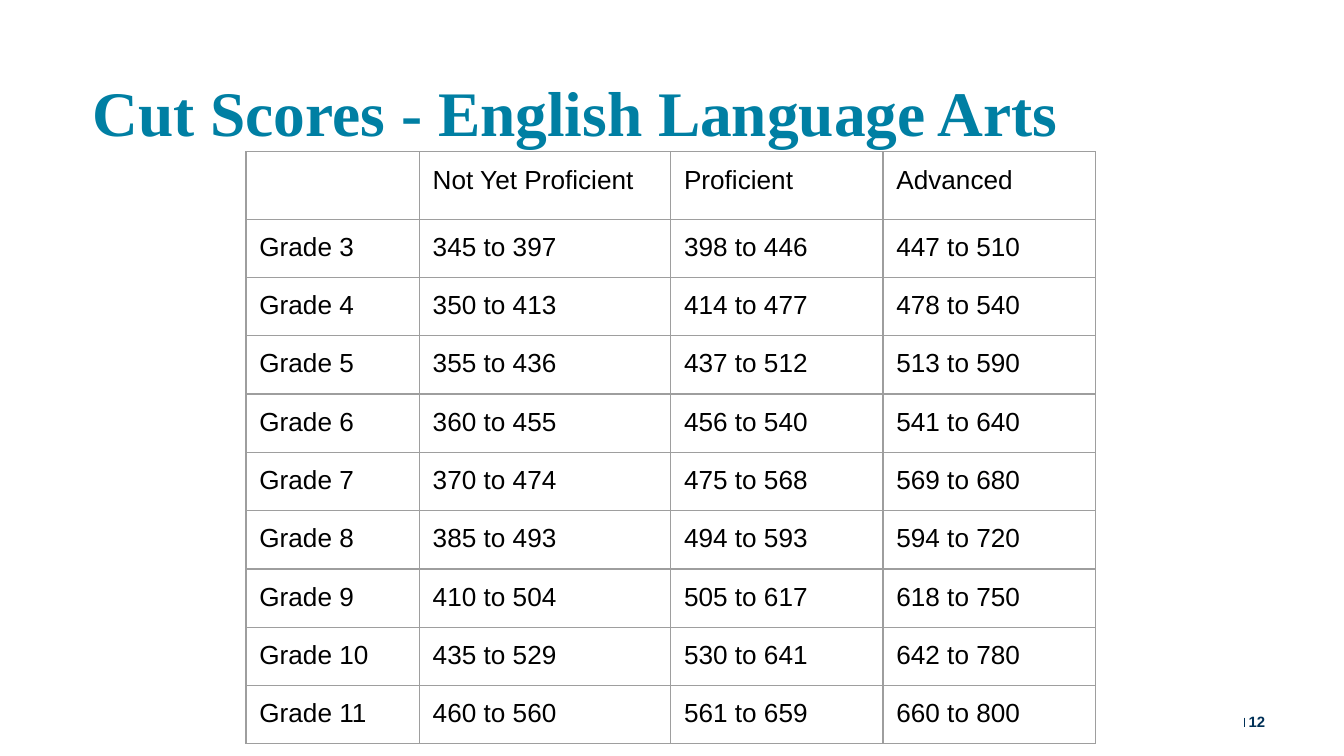
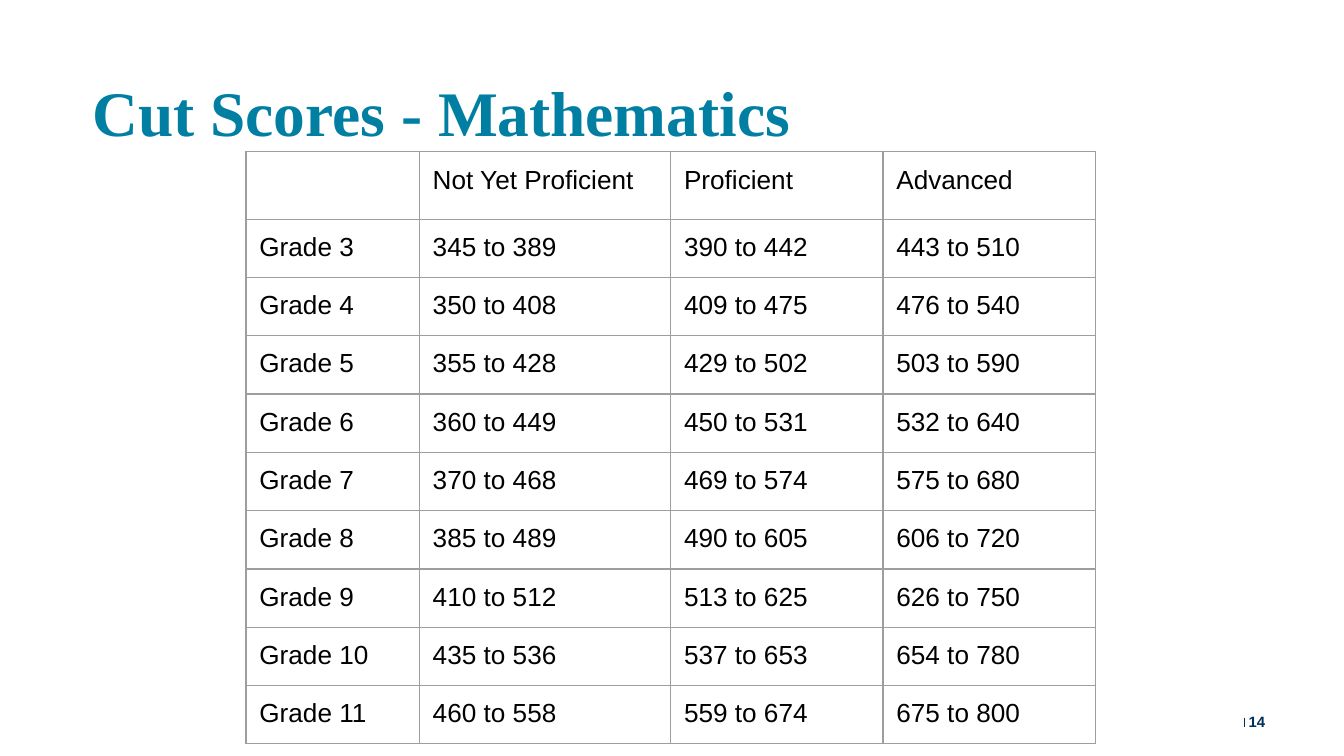
import pptx
import pptx.util
import pptx.dml.color
import pptx.enum.shapes
import pptx.enum.text
import pptx.oxml
import pptx.oxml.ns
from lxml import etree

Inches, Pt = pptx.util.Inches, pptx.util.Pt
RGBColor = pptx.dml.color.RGBColor
ANCHOR = pptx.enum.text.MSO_ANCHOR
qn = pptx.oxml.ns.qn

TEAL = RGBColor(0x00, 0x7F, 0xA3)
NAVY = RGBColor(0x00, 0x30, 0x57)
BLACK = RGBColor(0x00, 0x00, 0x00)
GREY = RGBColor(0x9E, 0x9E, 0x9E)
SERIF, SANS = "Times New Roman", "Arial"

HEAD = ["", "Not Yet Proficient", "Proficient", "Advanced"]
# grade: lowest and highest score on the scale, the same for both subjects
SCALE = {
    3: (345, 510), 4: (350, 540), 5: (355, 590),
    6: (360, 640), 7: (370, 680), 8: (385, 720),
    9: (410, 750), 10: (435, 780), 11: (460, 800),
}
# cuts: first score of Proficient and of Advanced, grade by grade
SLIDES = [
    {"title": "Cut Scores - English Language Arts", "page": "12", "width": 8.39,
     "cuts": [(398, 447), (414, 478), (437, 513), (456, 541), (475, 569),
              (494, 594), (505, 618), (530, 642), (561, 660)]},
    {"title": "Cut Scores - Mathematics", "page": "14", "width": 8.52,
     "cuts": [(390, 443), (409, 476), (429, 503), (450, 532), (469, 575),
              (490, 606), (513, 626), (537, 654), (559, 675)]},
]
WIDE = Inches(10)
COLS = [1.29, 1.87, 1.58, 1.58]
ROW = Pt(30)
FRAME = Inches(3.28)
PAD = 0.1


def pad(item, size):
    item.margin_left = item.margin_right = Inches(size)
    item.margin_top = item.margin_bottom = Inches(size)


def write(para, text, size, face, color, bold=False):
    run = para.add_run()
    run.text = text
    font = run.font
    font.size, font.name, font.bold = Pt(size), face, bold
    font.color.rgb = color


def label(slide, box, inset, anchor, *style):
    """Add a one-line text box and return its paragraph."""
    frame = slide.shapes.add_textbox(*map(Inches, box)).text_frame
    frame.word_wrap = True
    frame.vertical_anchor = anchor
    pad(frame, inset)
    write(frame.paragraphs[0], *style)
    return frame.paragraphs[0]


def footer(slide, page):
    line = slide.shapes.add_connector(
        pptx.enum.shapes.MSO_CONNECTOR.STRAIGHT,
        Inches(9.26), Inches(5.34), Inches(9.26), Inches(5.41))
    line.line.color.rgb = NAVY
    line.line.width = Pt(0.75)
    etree.SubElement(line._element.spPr, qn("a:effectLst"))
    label(slide, (9.29, 5.32, 0.47, 0.1), 0, ANCHOR.MIDDLE,
          page, 8, SANS, NAVY, True)


def border(cell):
    props = cell._tc.get_or_add_tcPr()
    for at, side in enumerate(("lnL", "lnR", "lnT", "lnB")):
        edge = etree.Element(qn("a:" + side), w=str(Pt(0.75)))
        fill = etree.SubElement(edge, qn("a:solidFill"))
        etree.SubElement(fill, qn("a:srgbClr"), val=str(GREY))
        props.insert(at, edge)


def bands(cuts):
    """Turn the cuts into rows; each band ends just below the next."""
    rows = [HEAD]
    for (grade, (low, top)), (mid, high) in zip(SCALE.items(), cuts):
        spans = [(low, mid - 1), (mid, high - 1), (high, top)]
        rows.append([f"Grade {grade}"] + [f"{a} to {b}" for a, b in spans])
    return rows


def grid(slide, rows):
    shape = slide.shapes.add_table(
        len(rows), len(COLS), Inches(1.83), Inches(1.13), FRAME, FRAME)
    table = shape.table
    table.first_row = table.horz_banding = False
    for col, width in zip(table.columns, COLS):
        col.width = Inches(width)
    for row, texts in zip(table.rows, rows):
        row.height = ROW
        for cell, text in zip(row.cells, texts):
            pad(cell, PAD)
            cell.fill.background()
            border(cell)
            para = cell.text_frame.paragraphs[0]
            if text:
                write(para, text, 14, SANS, BLACK)
            else:
                # the empty corner keeps 18 pt and so sets the header height
                end = etree.SubElement(para._p, qn("a:endParaRPr"), sz="1800")
                etree.SubElement(end, qn("a:latin"), typeface=SANS)
    # a frame smaller than its rows keeps them from being stretched
    shape.width = shape.height = FRAME


def main():
    deck = pptx.Presentation()
    deck.slide_width, deck.slide_height = WIDE, WIDE * 9 // 16
    for item in SLIDES:
        slide = deck.slides.add_slide(deck.slide_layouts[6])
        footer(slide, item["page"])
        title = label(slide, (0.59, 0.34, item["width"], 0.92), PAD,
                      ANCHOR.TOP, item["title"], 34, SERIF, TEAL, True)
        title.line_spacing = 1.18
        grid(slide, bands(item["cuts"]))
    deck.save("out.pptx")


if __name__ == "__main__":
    main()
